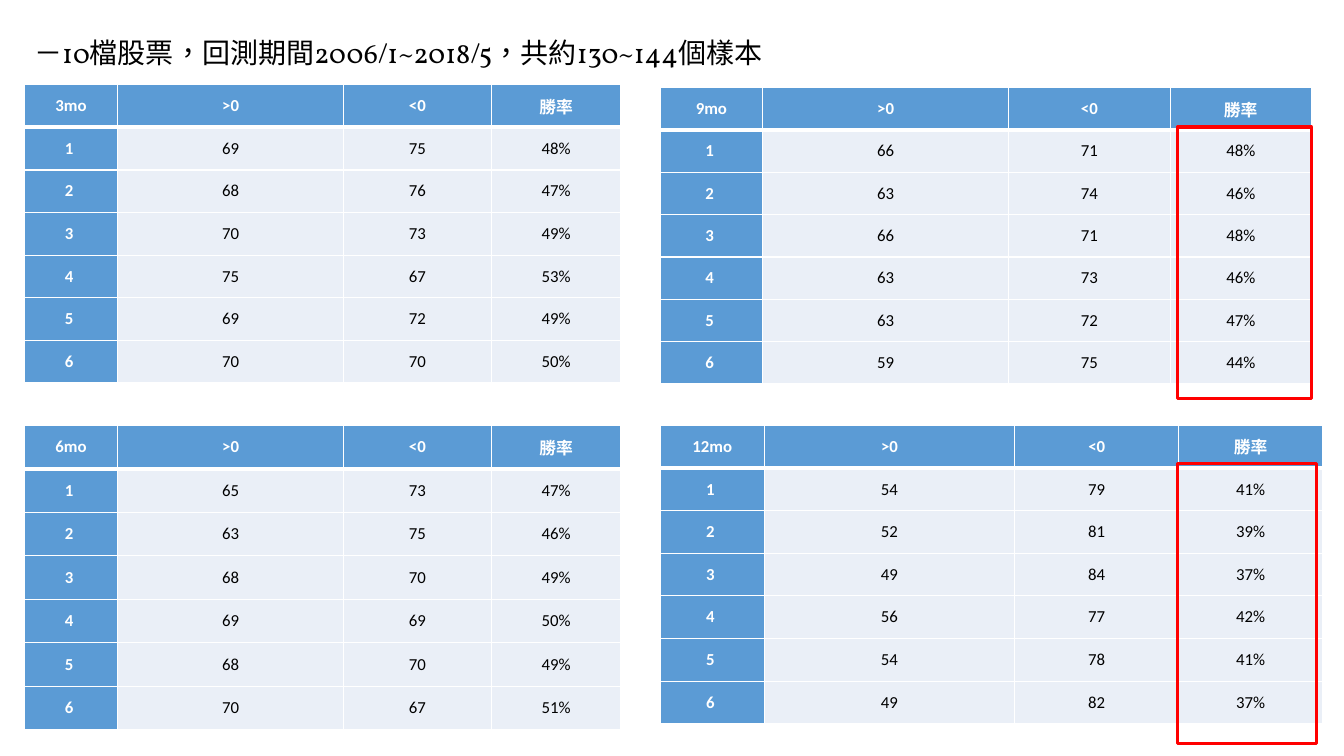
from dataclasses import dataclass
from itertools import accumulate, pairwise

from lxml.etree import SubElement
from pptx import Presentation
from pptx.dml.color import RGBColor as Rgb
from pptx.enum.lang import MSO_LANGUAGE_ID as Language
from pptx.enum.shapes import MSO_SHAPE as Preset
from pptx.enum.text import MSO_ANCHOR as Anchor, PP_ALIGN as Align
from pptx.oxml.ns import qn
from pptx.util import Inches, Pt

COLORS = {
    "header": "5B9BD5",
    "body": "EAEFF7",
    "light": "FFFFFF",
    "dark": "000000",
    "highlight": "FF0000",
}
COLUMN_SHARES = (0.157, 0.378, 0.248, 0.217)
HEADINGS = (">0", "<0", "勝率")
TITLE = "－10檔股票，回測期間2006/1~2018/5，共約130~144個樣本"
THIN, THICK = 1, 3


@dataclass(frozen=True)
class Area:
    left: float
    top: float
    width: float
    height: float

    def emu(self) -> tuple[int, int, int, int]:
        return (
            round(deck.slide_width * self.left / 100),
            round(deck.slide_height * self.top / 100),
            round(deck.slide_width * self.width / 100),
            round(deck.slide_height * self.height / 100),
        )


@dataclass(frozen=True)
class Backtest:
    period: str
    area: Area
    gains: tuple[int, ...]
    losses: tuple[int, ...]

    def rows(self) -> list[tuple[str, ...]]:
        counts = enumerate(zip(self.gains, self.losses), start=1)
        return [(self.period, *HEADINGS)] + [
            (f"{rank} ", str(gain), str(loss), f"{gain / (gain + loss):.0%}")
            for rank, (gain, loss) in counts
        ]


BACKTESTS = (
    Backtest("3mo", Area(1.8, 11.2, 44.4, 39.47),
             (69, 68, 70, 75, 69, 70), (75, 76, 73, 67, 72, 70)),
    Backtest("6mo", Area(1.8, 56.27, 44.4, 40.27),
             (65, 63, 68, 69, 68, 70), (73, 75, 70, 69, 70, 67)),
    Backtest("9mo", Area(49.13, 11.6, 48.45, 39.2),
             (66, 63, 66, 63, 63, 59), (71, 74, 71, 73, 72, 75)),
    Backtest("12mo", Area(49.13, 56.27, 49.28, 39.47),
             (54, 52, 49, 56, 54, 49), (79, 81, 84, 77, 78, 82)),
)
HIGHLIGHTS = (Area(87.6, 61.33, 10.35, 37.07), Area(87.6, 16.8, 9.98, 35.87))


def color(name: str) -> Rgb:
    return Rgb.from_string(COLORS[name])


def add_text(paragraph, text: str, face: str, size: int, ink: str, bold: bool) -> None:
    run = paragraph.add_run()
    run.text = text
    run.font.name, run.font.size, run.font.bold = face, Pt(size), bold
    run.font.color.rgb = color(ink)
    run.font.language_id = Language.TRADITIONAL_CHINESE


def add_borders(cell, row: int) -> None:
    widths = {
        "a:lnL": THIN,
        "a:lnR": THIN,
        "a:lnT": THICK if row == 1 else THIN,
        "a:lnB": THICK if row == 0 else THIN,
    }
    properties = cell._tc.get_or_add_tcPr()
    for side, width in widths.items():
        border = SubElement(properties, qn(side), w=str(Pt(width)))
        fill = SubElement(border, qn("a:solidFill"))
        SubElement(fill, qn("a:srgbClr"), val=COLORS["light"])


def fill_cell(cell, text: str, row: int, column: int) -> None:
    is_heading = row == 0 or column == 0
    cell.margin_left = cell.margin_right = cell.margin_top = cell.margin_bottom = 0
    cell.vertical_anchor = Anchor.MIDDLE
    add_borders(cell, row)
    cell.fill.solid()
    cell.fill.fore_color.rgb = color("header" if is_heading else "body")
    paragraph = cell.text_frame.paragraphs[0]
    paragraph.alignment = Align.CENTER
    add_text(paragraph, text, "Calibri", 12, "light" if is_heading else "dark", is_heading)


def draw_backtest(backtest: Backtest) -> None:
    rows = backtest.rows()
    left, top, width, height = backtest.area.emu()
    table = slide.shapes.add_table(
        len(rows), len(COLUMN_SHARES), left, top, width, height).table
    edges = [round(width * share) for share in accumulate(COLUMN_SHARES, initial=0)]
    for column, (start, end) in zip(table.columns, pairwise(edges)):
        column.width = end - start
    for row, values in enumerate(rows):
        for column, text in enumerate(values):
            fill_cell(table.cell(row, column), text, row, column)


def draw_highlight(area: Area) -> None:
    frame = slide.shapes.add_shape(Preset.RECTANGLE, *area.emu())
    frame.shadow.inherit = False
    frame.fill.background()
    frame.line.color.rgb = color("highlight")
    frame.line.width = Pt(2.25)


def draw_title(area: Area) -> None:
    heading = slide.shapes.add_textbox(*area.emu()).text_frame
    heading.word_wrap = True
    heading.vertical_anchor = Anchor.MIDDLE
    heading.paragraphs[0].line_spacing = 0.9
    add_text(heading.paragraphs[0], TITLE, "Vollkorn", 20, "dark", False)


deck = Presentation()
deck.slide_width, deck.slide_height = Inches(13.33), Inches(7.5)
slide = deck.slides.add_slide(deck.slide_layouts[6])
draw_title(Area(1.8, 3.07, 91.35, 8.13))
for backtest in BACKTESTS:
    draw_backtest(backtest)
for highlight in HIGHLIGHTS:
    draw_highlight(highlight)
deck.save("out.pptx")
